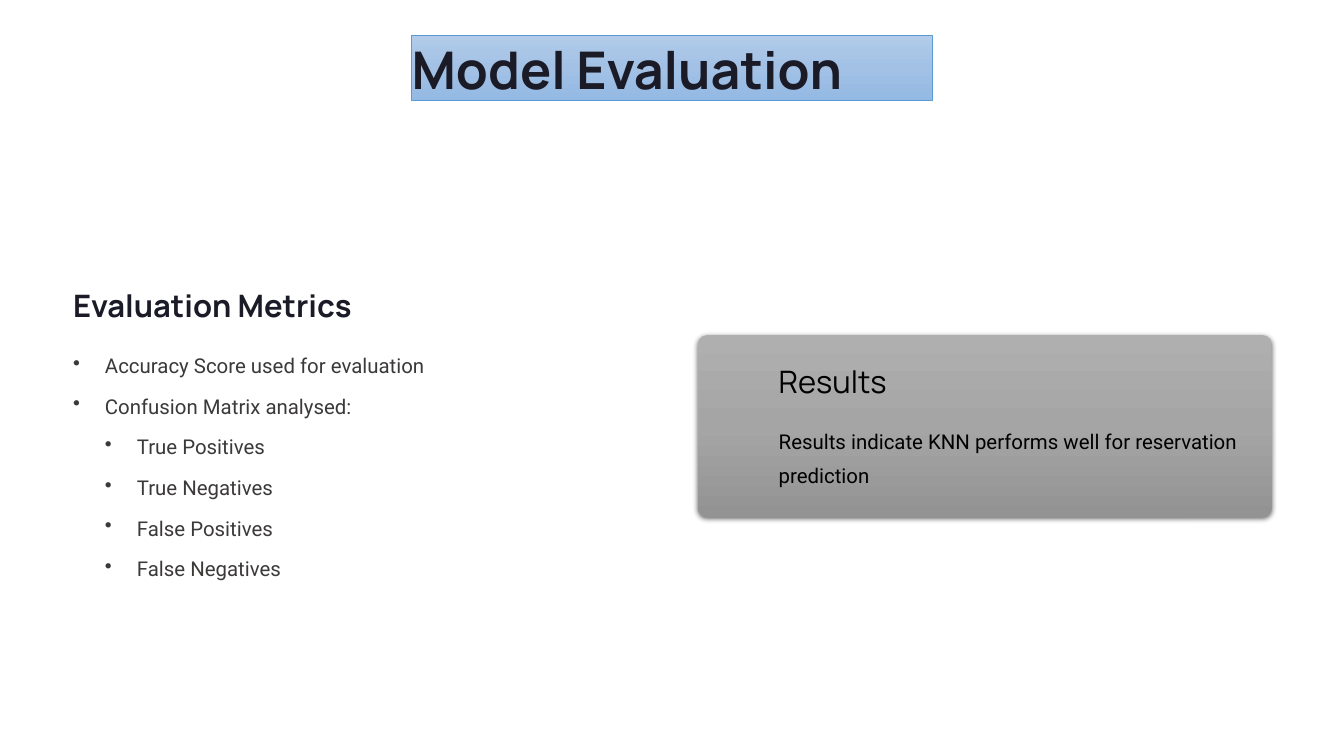
"""Build the Model Evaluation slide."""
from pptx import Presentation
from pptx import util as u
from pptx.dml.color import RGBColor
from pptx.enum import shapes, text
from pptx.oxml import parse_xml
from pptx.oxml.ns import nsdecls, qn

THEME = {
    "ink": "1B1B27", "body": "3C3939", "black": "000000", "edge": "5B9BD5",
    "blue": ("B1CBE9", "A3C1E5", "93B9E4"),
    "grey": ("AFAFAF", "A5A5A5", "939393"),
    "title": ("Manrope", 44.5, 55.5),
    "head": ("Manrope", 26.5, 33),
    "text": ("Roboto", 17.5, 28.5),
}
TITLE = "Model Evaluation"
HEAD = "Evaluation Metrics"
POINTS = [
    (0, "Accuracy Score used for evaluation"),
    (0, "Confusion Matrix analysed:"),
    (1, "True Positives"),
    (1, "True Negatives"),
    (1, "False Positives"),
    (1, "False Negatives"),
]
RESULT = "Results"
NOTE = "Results indicate KNN performs well for reservation prediction"

LEFT, INNER = 0.87, 9.27
TOP, STEP, INDENT = 4.1, 0.484, 0.38


def write(shape, words, style, color, bold=False, wrap=False):
    font, size, line = THEME[style]
    frame = shape.text_frame
    frame.margin_left = frame.margin_right = 0
    frame.margin_top = frame.margin_bottom = 0
    frame.word_wrap = wrap
    frame.vertical_anchor = text.MSO_ANCHOR.TOP
    para = frame.paragraphs[0]
    para.alignment = text.PP_ALIGN.LEFT
    para.line_spacing = u.Pt(line)
    run = para.add_run()
    run.text = words
    run.font.name = font
    run.font.size = u.Pt(size)
    run.font.bold = bold
    run.font.color.rgb = RGBColor.from_string(THEME[color])
    return para


def label(slide, box, *args, **opts):
    return write(slide.shapes.add_textbox(*map(u.Inches, box)), *args, **opts)


def bullet(para, level):
    para.level = level
    props = para._p.get_or_add_pPr()
    props.set("marL", str(u.Inches(INDENT * (level + 1))))
    props.set("indent", str(u.Inches(-INDENT)))
    props.append(parse_xml(f'<a:buChar {nsdecls("a")} char="•"/>'))


def panel(slide, kind, box, tones):
    shape = slide.shapes.add_shape(kind, *map(u.Inches, box))
    stops = "".join(
        f'<a:gs pos="{i * 50000}"><a:srgbClr val="{tone}"/></a:gs>'
        for i, tone in enumerate(THEME[tones]))
    shape._element.spPr.append(parse_xml(
        f'<a:gradFill {nsdecls("a")} rotWithShape="1"><a:gsLst>{stops}</a:gsLst>'
        '<a:lin ang="5400000" scaled="0"/></a:gradFill>'))
    shape.shadow.inherit = False
    return shape


def shade(shape):
    shape._element.spPr.find(qn("a:effectLst")).append(parse_xml(
        f'<a:outerShdw {nsdecls("a")} blurRad="{u.Pt(4.5)}" dist="{u.Pt(1.5)}" '
        'dir="5400000" algn="ctr" rotWithShape="0">'
        f'<a:srgbClr val="{THEME["black"]}"><a:alpha val="63000"/></a:srgbClr>'
        '</a:outerShdw>'))


def main():
    deck = Presentation()
    deck.slide_width, deck.slide_height = u.Inches(16), u.Inches(9)
    slide = deck.slides.add_slide(deck.slide_layouts[6])

    banner = panel(slide, shapes.MSO_SHAPE.RECTANGLE, (4.9, 0.42, 6.2, 0.78), "blue")
    banner.line.color.rgb = RGBColor.from_string(THEME["edge"])
    banner.line.width = u.Pt(0.5)
    write(banner, TITLE, "title", "ink", bold=True)

    label(slide, (LEFT, 3.39, 3.72, 0.47), HEAD, "head", "ink", bold=True)
    for i, (level, words) in enumerate(POINTS):
        box = (LEFT, TOP + i * STEP, 6.83, 0.4)
        bullet(label(slide, box, words, "text", "body"), level)

    card = panel(slide, shapes.MSO_SHAPE.ROUNDED_RECTANGLE,
                 (8.31, 3.99, 6.83, 2.16), "grey")
    card.adjustments[0] = 0.05
    card.line.fill.background()
    shade(card)
    label(slide, (INNER, 4.3, 3.72, 0.47), RESULT, "head", "black")
    label(slide, (INNER, 5.01, 5.62, 0.79), NOTE, "text", "black", wrap=True)

    deck.save("out.pptx")


if __name__ == "__main__":
    main()
